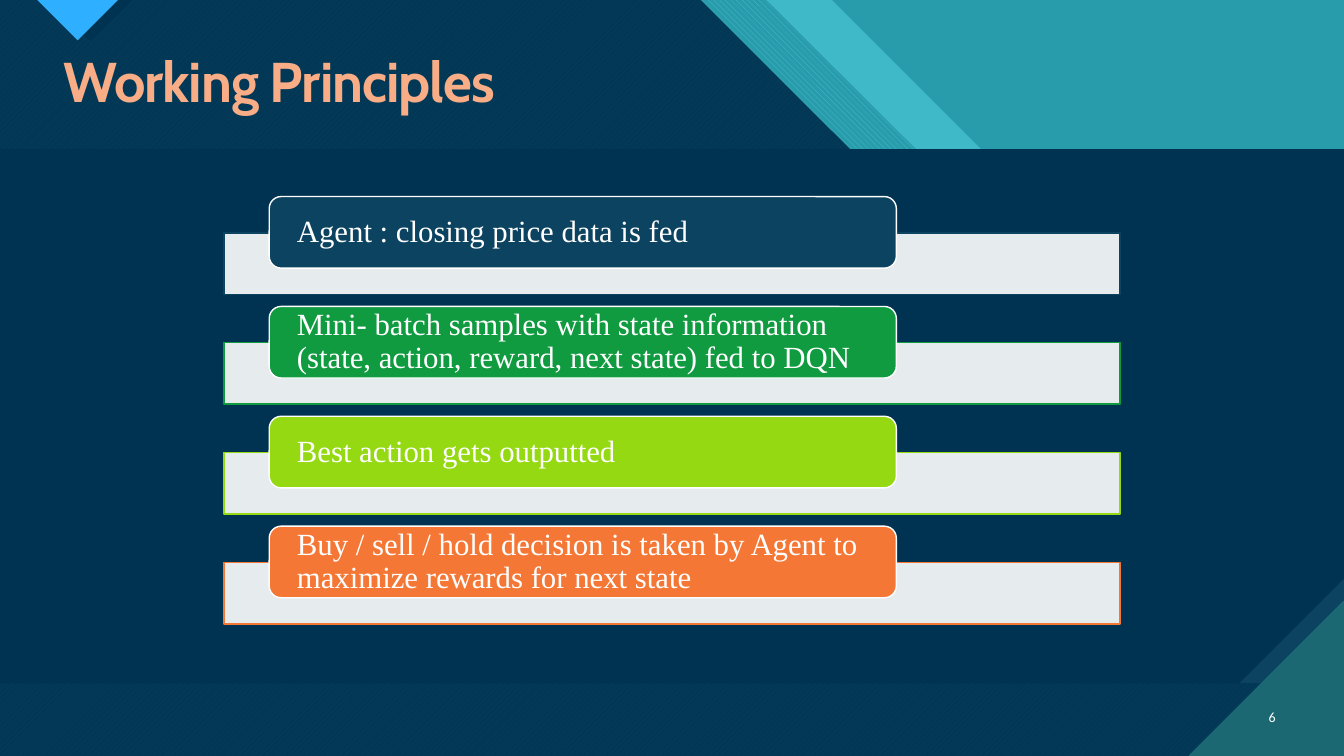
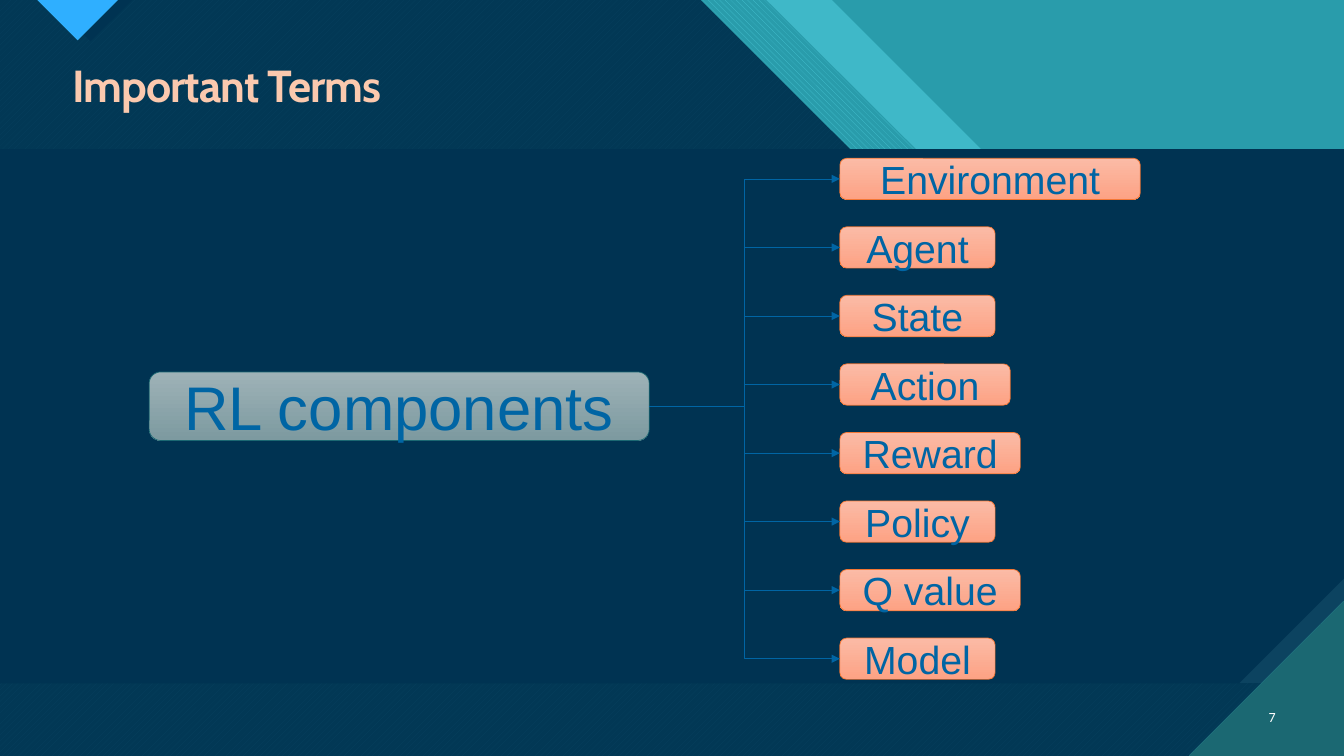
from pptx import Presentation
from pptx.dml.color import RGBColor
from pptx.enum.dml import MSO_PATTERN as Pattern
from pptx.enum.shapes import MSO_CONNECTOR as Connector, MSO_SHAPE as Shape
from pptx.enum.text import MSO_ANCHOR as Anchor, MSO_AUTO_SIZE as AutoSize, PP_ALIGN as Align
from pptx.oxml import parse_xml
from pptx.oxml.ns import nsdecls, qn
from pptx.util import Inches, Pt

# Colours
WHITE = RGBColor(0xFF, 0xFF, 0xFF)
NAVY = RGBColor(0x00, 0x33, 0x52)
SLATE = RGBColor(0x0C, 0x43, 0x60)
TEAL = RGBColor(0x29, 0x9C, 0xAB)
AQUA = RGBColor(0x47, 0xC3, 0xD3)
DEEP_TEAL = RGBColor(0x1B, 0x68, 0x72)
SKY = RGBColor(0x2F, 0xAF, 0xFF)
GREEN = RGBColor(0x10, 0x9B, 0x40)
LIME = RGBColor(0x94, 0xD9, 0x11)
ORANGE = RGBColor(0xF4, 0x77, 0x35)
BLUE = RGBColor(0x00, 0x65, 0xA4)
SALMON = RGBColor(0xF8, 0xAD, 0x86)
PEACH = RGBColor(0xFB, 0xC9, 0xAE)
ROOT_SHADES = RGBColor(0x9E, 0xB2, 0xB7), RGBColor(0x7D, 0x9A, 0xA0)
TERM_SHADES = RGBColor(0xFB, 0xBB, 0xA6), RGBColor(0xFD, 0xA2, 0x84)

# Content
WIDTH, HEIGHT = 13.33, 7.5
PRINCIPLES = [
    ("Agent : closing price data is fed", SLATE),
    ("Mini- batch samples with state information (state, action, reward, next state) fed to DQN", GREEN),
    ("Best action gets outputted", LIME),
    ("Buy / sell / hold decision is taken by Agent to maximize rewards for next state", ORANGE),
]
ROOT = "RL components"
TERMS = [("Environment", 2.98), ("Agent", 1.54), ("State", 1.54), ("Action", 1.69),
         ("Reward", 1.79), ("Policy", 1.54), ("Q value", 1.79), ("Model", 1.54)]

# Backdrop outlines, from back to front: corners and fill
# A fill is (colour, opacity) or (pattern, front colour, back colour)
DARK_EDGE = [(0, 0), (6.95, 0), (9.92, 2.97), (11.18, 2.97), (WIDTH, 5.12), (WIDTH, HEIGHT), (0, HEIGHT)]
BACKDROP = [
    ([(0, 0), (WIDTH, 0), (WIDTH, HEIGHT), (0, HEIGHT)], (TEAL, 100)),
    ([(0, 0), (8.25, 0), (11.22, 2.97), (12.34, 2.97), (WIDTH, 3.96), (WIDTH, HEIGHT), (0, HEIGHT)],
     (AQUA, 74)),
    ([(0.66, 0), (7.6, 0), (10.58, 2.97), (11.84, 2.97), (WIDTH, 4.47), (WIDTH, HEIGHT), (0.66, HEIGHT)],
     (Pattern.WIDE_DOWNWARD_DIAGONAL, AQUA, TEAL)),
    (DARK_EDGE, (Pattern.WIDE_UPWARD_DIAGONAL, AQUA, DEEP_TEAL)),
    (DARK_EDGE, (NAVY, 90)),
    ([(0.48, 0), (1.31, 0), (0.9, 0.41)], (NAVY, 100)),
    ([(0.37, 0), (1.17, 0), (0.77, 0.4)], (Pattern.DARK_HORIZONTAL, SKY, DEEP_TEAL)),
    ([(0, 1.48), (WIDTH, 1.48), (WIDTH, 6.78), (0, 6.78)], (Pattern.DARK_VERTICAL, SLATE, DEEP_TEAL)),
    ([(0, 1.48), (WIDTH, 1.48), (WIDTH, 5.74), (12.29, 6.78), (0, 6.78)], (NAVY, 100)),
    ([(11.79, HEIGHT), (WIDTH, HEIGHT), (WIDTH, 5.96)], (Pattern.DARK_HORIZONTAL, DEEP_TEAL, AQUA)),
]


def set_all(target, **values):
    for name, value in values.items():
        setattr(target, name, value)


def place(shape, left, top, width, height):
    set_all(shape, left=Inches(left), top=Inches(top), width=Inches(width), height=Inches(height))


def fill_solid(shape, color, opacity=100):
    shape.fill.solid()
    shape.fill.fore_color.rgb = color
    if opacity < 100:
        tint = shape.element.spPr.find(qn("a:solidFill")).find(qn("a:srgbClr"))
        tint.append(parse_xml(f'<a:alpha {nsdecls("a")} val="{opacity * 1000}"/>'))


def fill_pattern(shape, pattern, front, back):
    shape.fill.patterned()
    shape.fill.pattern = pattern
    shape.fill.fore_color.rgb = front
    shape.fill.back_color.rgb = back


def fill_gradient(shape, shades):
    shape.fill.gradient()
    shape.fill.gradient_angle = 270
    for stop, shade in zip(shape.fill.gradient_stops, shades):
        stop.color.rgb = shade


def add_box(page, kind, at, line_color, line_width):
    box = page.shapes.add_shape(kind, *map(Inches, at))
    box.shadow.inherit = False
    box.line.color.rgb = line_color
    box.line.width = Pt(line_width)
    return box


def write(box, text, size, font, color, align, **para_format):
    box.text_frame.word_wrap = True
    box.text_frame.vertical_anchor = Anchor.MIDDLE
    para = box.text_frame.paragraphs[0]
    set_all(para, alignment=align, **para_format)
    span = para.add_run()
    span.text = text
    set_all(span.font, size=Pt(size), name=font)
    span.font.color.rgb = color


def style_layout(layout):
    layout.background.fill.solid()
    layout.background.fill.fore_color.rgb = AQUA
    for holder in list(layout.placeholders):
        if holder.placeholder_format.idx:
            holder.element.getparent().remove(holder.element)
    title = layout.placeholders[0]
    place(title, 0.62, 0.58, 12.26, 0.59)
    set_all(title.text_frame, word_wrap=True, vertical_anchor=Anchor.MIDDLE, auto_size=AutoSize.NONE)
    title.element.find(".//" + qn("a:lstStyle")).append(parse_xml(
        f'<a:lvl1pPr {nsdecls("a")} algn="l"><a:defRPr b="1" spc="-70">'
        '<a:latin typeface="Cabin"/></a:defRPr></a:lvl1pPr>'))


def draw_backdrop(page, layout):
    """Draw the outlines on a page, then move them behind the layout's title."""
    tree = layout.shapes.element
    for order, (corners, fill) in enumerate(BACKDROP):
        points = [(Inches(x), Inches(y)) for x, y in corners]
        builder = page.shapes.build_freeform(*points[0])
        builder.add_line_segments(points[1:], close=True)
        outline = builder.convert_to_shape()
        outline.shadow.inherit = False
        outline.line.fill.background()
        if len(fill) == 3:
            fill_pattern(outline, *fill)
        else:
            fill_solid(outline, *fill)
        outline.element.find(".//" + qn("p:cNvPr")).set("id", str(100 + order))
        tree.insert(2 + order, outline.element)


def add_page(deck, layout, number, title, size, color, **para_format):
    page = deck.slides.add_slide(layout)
    write(page.shapes.title, title, size, "Cabin", color, Align.LEFT, **para_format)
    box = page.shapes.add_textbox(*map(Inches, (12.31, 6.91, 0.44, 0.4)))
    write(box, str(number), 10, "Calibri", WHITE, Align.RIGHT)
    return page


def draw_principles(page):
    for row, (text, color) in enumerate(PRINCIPLES):
        top = 1.95 + row * 1.09
        bar = add_box(page, Shape.RECTANGLE, (2.22, top + 0.36, 8.89, 0.61), color, 1)
        fill_solid(bar, WHITE, 90)
        label = add_box(page, Shape.ROUNDED_RECTANGLE, (2.67, top, 6.22, 0.71), WHITE, 1)
        fill_solid(label, color)
        set_all(label.text_frame, margin_left=Inches(0.24), margin_right=Inches(0.24),
                margin_top=0, margin_bottom=0)
        write(label, text, 22, "Times New Roman", WHITE, Align.LEFT, line_spacing=0.9)


def add_node(page, text, at, size, shades, line_color):
    node = add_box(page, Shape.ROUNDED_RECTANGLE, at, line_color, 0.5)
    fill_gradient(node, shades)
    write(node, text, size, "Arial", BLUE, Align.CENTER)
    return node


def join(page, start, end):
    link = page.shapes.add_connector(Connector.ELBOW, 0, 0, 0, 0)
    link.begin_connect(start, 3)
    link.end_connect(end, 1)
    link.line.color.rgb = BLUE
    link.line.width = Pt(0.5)
    props = link.element.spPr
    props.find(qn("a:ln")).append(parse_xml(f'<a:tailEnd {nsdecls("a")} type="triangle"/>'))
    props.append(parse_xml(f'<a:effectLst {nsdecls("a")}/>'))


def draw_terms(page):
    root = add_node(page, ROOT, (1.48, 3.69, 4.96, 0.68), 44, ROOT_SHADES, DEEP_TEAL)
    for row, (text, width) in enumerate(TERMS):
        at = (8.33, 1.57 + row * 0.68, width, 0.41)
        join(page, root, add_node(page, text, at, 28, TERM_SHADES, ORANGE))


def main():
    deck = Presentation()
    set_all(deck, slide_width=Inches(WIDTH), slide_height=Inches(HEIGHT))
    layout = deck.slide_layouts[5]
    style_layout(layout)

    # Working principles
    page = add_page(deck, layout, 6, "Working Principles", 40, SALMON, line_spacing=Pt(14.2))
    draw_backdrop(page, layout)
    place(page.shapes.title, 0.53, 0.84, 12.26, 0.38)
    draw_principles(page)

    # Important terms
    page = add_page(deck, layout, 7, "Important Terms", 32, PEACH, line_spacing=0.9)
    draw_terms(page)

    deck.save("out.pptx")


if __name__ == "__main__":
    main()
